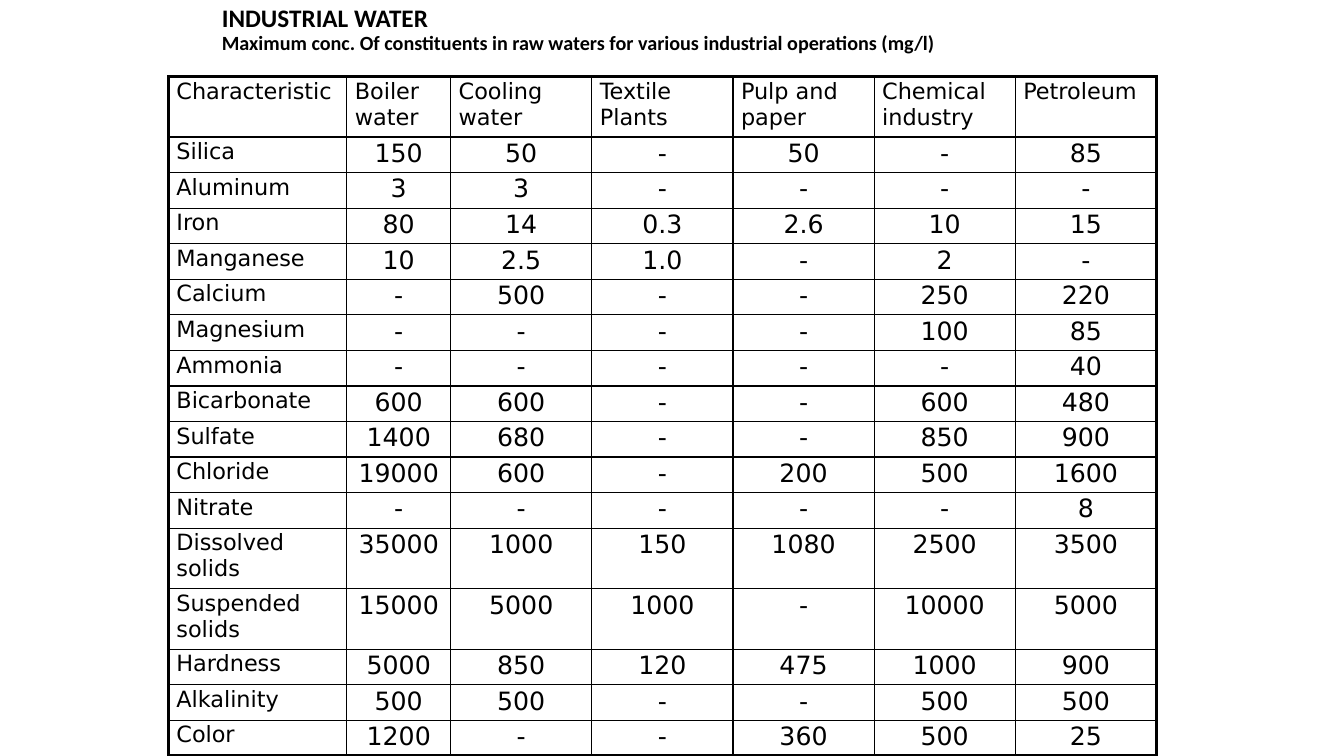
from lxml.etree import SubElement
from pptx import Presentation
from pptx.dml.color import RGBColor
from pptx.enum.text import MSO_ANCHOR, MSO_AUTO_SIZE, PP_ALIGN
from pptx.oxml.ns import qn
from pptx.util import Inches, Pt

COLORS = {"ink": "000000", "paper": "FFFFFF"}
THIN, THICK = 1, 2.25

TITLE = "INDUSTRIAL WATER"
SUBTITLE = "Maximum conc. Of constituents in raw waters for various industrial operations (mg/l)"

LIMITS = [
    ["Characteristic", "Boiler water", "Cooling water", "Textile Plants",
     "Pulp and paper", "Chemical industry", "Petroleum"],
    ["Silica", "150", "50", "-", "50", "-", "85"],
    ["Aluminum", "3", "3", "-", "-", "-", "-"],
    ["Iron", "80", "14", "0.3", "2.6", "10", "15"],
    ["Manganese", "10", "2.5", "1.0", "-", "2", "-"],
    ["Calcium", "-", "500", "-", "-", "250", "220"],
    ["Magnesium", "-", "-", "-", "-", "100", "85"],
    ["Ammonia", "-", "-", "-", "-", "-", "40"],
    ["Bicarbonate", "600", "600", "-", "-", "600", "480"],
    ["Sulfate", "1400", "680", "-", "-", "850", "900"],
    ["Chloride", "19000", "600", "-", "200", "500", "1600"],
    ["Nitrate", "-", "-", "-", "-", "-", "8"],
    ["Dissolved solids", "35000", "1000", "150", "1080", "2500", "3500"],
    ["Suspended solids", "15000", "5000", "1000", "-", "10000", "5000"],
    ["Hardness", "5000", "850", "120", "475", "1000", "900"],
    ["Alkalinity", "500", "500", "-", "-", "500", "500"],
    ["Color", "1200", "-", "-", "360", "500", "25"],
]
COLUMN_WIDTHS = [1.77, 1.03] + [1.4] * 5
TALL_ROWS = {0, 12, 13}
TALL_HEIGHT = 0.6


def apply_format(target, values):
    for name, value in values.items():
        setattr(target, name, value)


class SlideBuilder:
    def __init__(self, deck):
        self.page = deck.slides.add_slide(deck.slide_layouts[5])
        background = self.page.background.fill
        background.solid()
        background.fore_color.rgb = RGBColor.from_string(COLORS["paper"])

    def format_font(self, font, **values):
        apply_format(font, values)
        font.color.rgb = RGBColor.from_string(COLORS["ink"])

    def title(self, heading, subheading, left, top, width, height):
        box = self.page.shapes.title
        apply_format(box, {"left": Inches(left), "top": Inches(top),
                           "width": Inches(width), "height": Inches(height)})
        apply_format(box.text_frame, {
            "word_wrap": True, "auto_size": MSO_AUTO_SIZE.NONE,
            "vertical_anchor": MSO_ANCHOR.MIDDLE})
        para = box.text_frame.paragraphs[0]
        apply_format(para, {"alignment": PP_ALIGN.LEFT, "line_spacing": 0.9})
        for text, size in ((heading, 18), (subheading, 14.4)):
            if para.runs:
                para.add_line_break()
            span = para.add_run()
            span.text = text
            self.format_font(span.font, name="Calibri", size=Pt(size), bold=True)

    def borders(self, cell, widths):
        """Draw the cell's edges; widths in points run left, right, top, bottom."""
        properties = cell._tc.get_or_add_tcPr()
        for side, width in zip("LRTB", widths):
            line = SubElement(properties, qn(f"a:ln{side}"), w=str(Pt(width)))
            fill = SubElement(line, qn("a:solidFill"))
            SubElement(fill, qn("a:srgbClr"), val=COLORS["ink"])

    def cell(self, cell, text, size, alignment):
        apply_format(cell, {
            "margin_left": Inches(0.08), "margin_right": Inches(0.08),
            "margin_top": Inches(0.02), "margin_bottom": Inches(0.02),
            "vertical_anchor": MSO_ANCHOR.TOP})
        para = cell.text_frame.paragraphs[0]
        para.alignment = alignment
        span = para.add_run()
        span.text = text
        self.format_font(span.font, name="DejaVu Sans", size=Pt(size), bold=False)

    def table(self, rows, left, top, width, height):
        last_row, last_column = len(rows) - 1, len(rows[0]) - 1
        grid = self.page.shapes.add_table(
            len(rows), len(rows[0]), Inches(left), Inches(top),
            Inches(width), Inches(height)).table
        apply_format(grid, {"first_row": False, "horz_banding": False})
        for column, column_width in zip(grid.columns, COLUMN_WIDTHS):
            column.width = Inches(column_width)
        short_height = (height - TALL_HEIGHT * len(TALL_ROWS)) / (len(rows) - len(TALL_ROWS))
        for r, values in enumerate(rows):
            grid.rows[r].height = Inches(TALL_HEIGHT if r in TALL_ROWS else short_height)
            for c, text in enumerate(values):
                cell = grid.cell(r, c)
                is_label = r == 0 or c == 0
                self.cell(cell, text, 16 if is_label else 18,
                          PP_ALIGN.LEFT if is_label else PP_ALIGN.CENTER)
                outer_edges = (c == 0, c == last_column, r == 0, r == last_row)
                self.borders(cell, [THICK if outer else THIN for outer in outer_edges])
                cell.fill.background()


def main():
    deck = Presentation()
    apply_format(deck, {"slide_width": Inches(13.33), "slide_height": Inches(7.5)})
    slide = SlideBuilder(deck)
    slide.title(TITLE, SUBTITLE, 2.1, 0, 9.21, 0.6)
    slide.table(LIMITS, 1.67, 0.76, 9.8, 6.74)
    deck.save("out.pptx")


if __name__ == "__main__":
    main()
